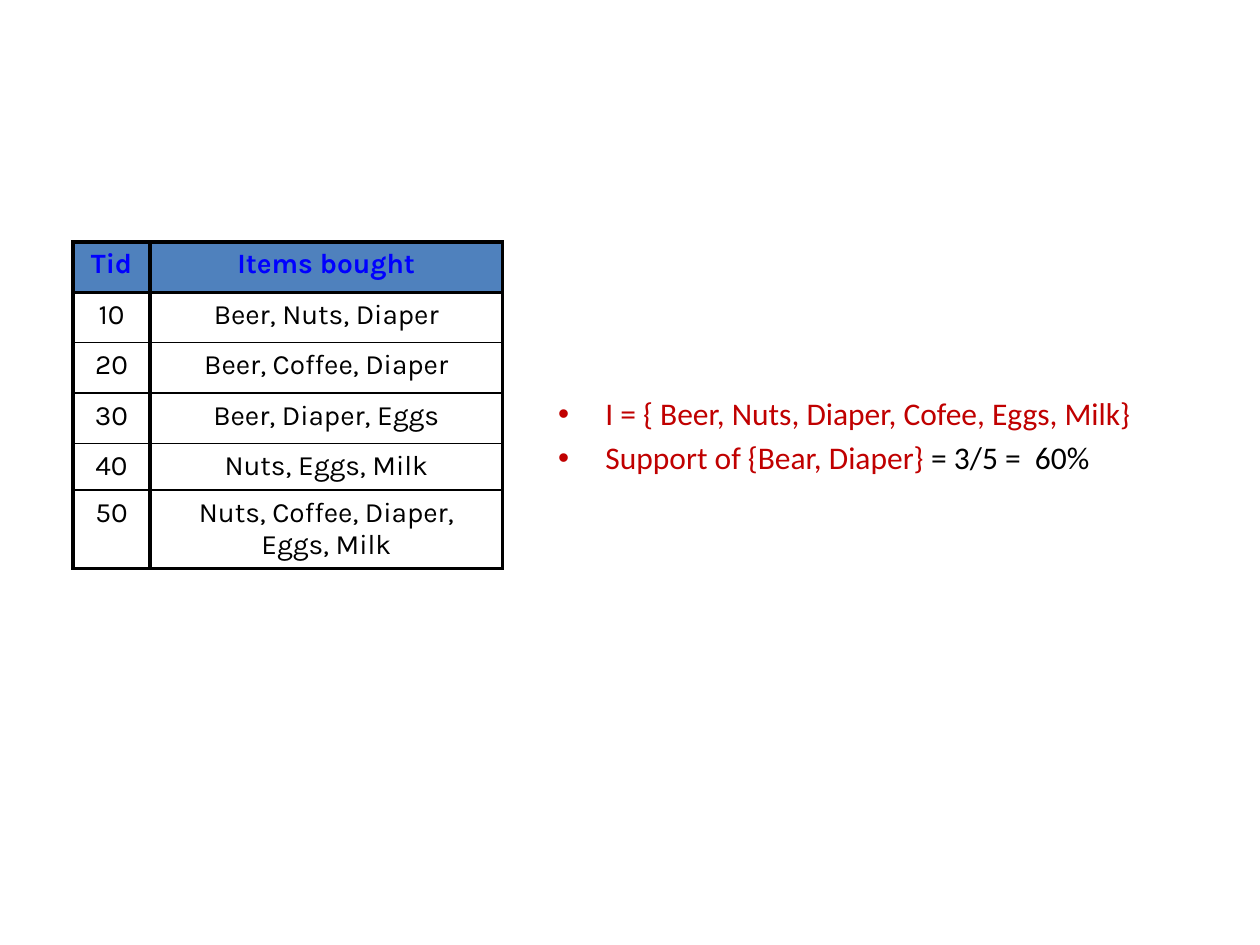
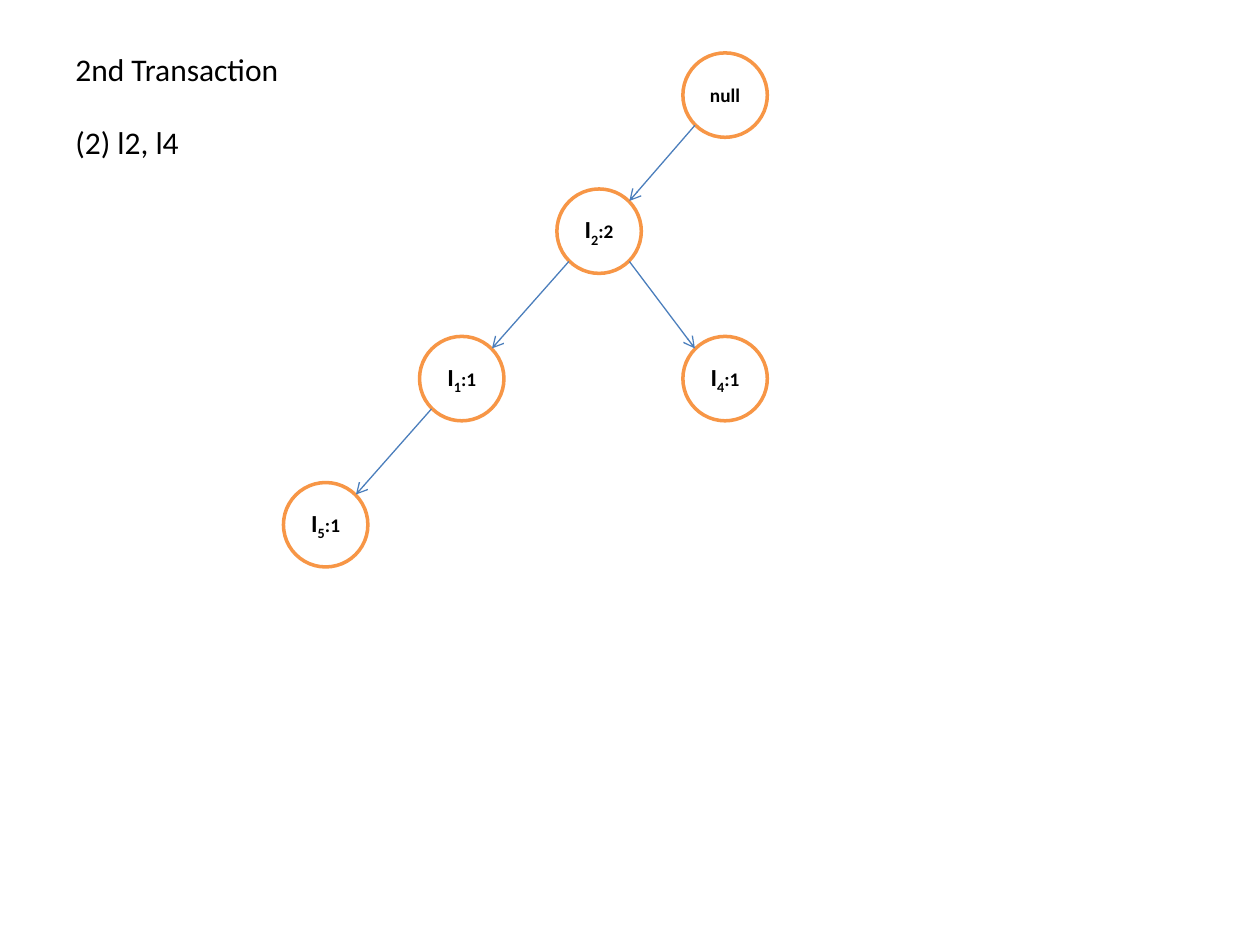
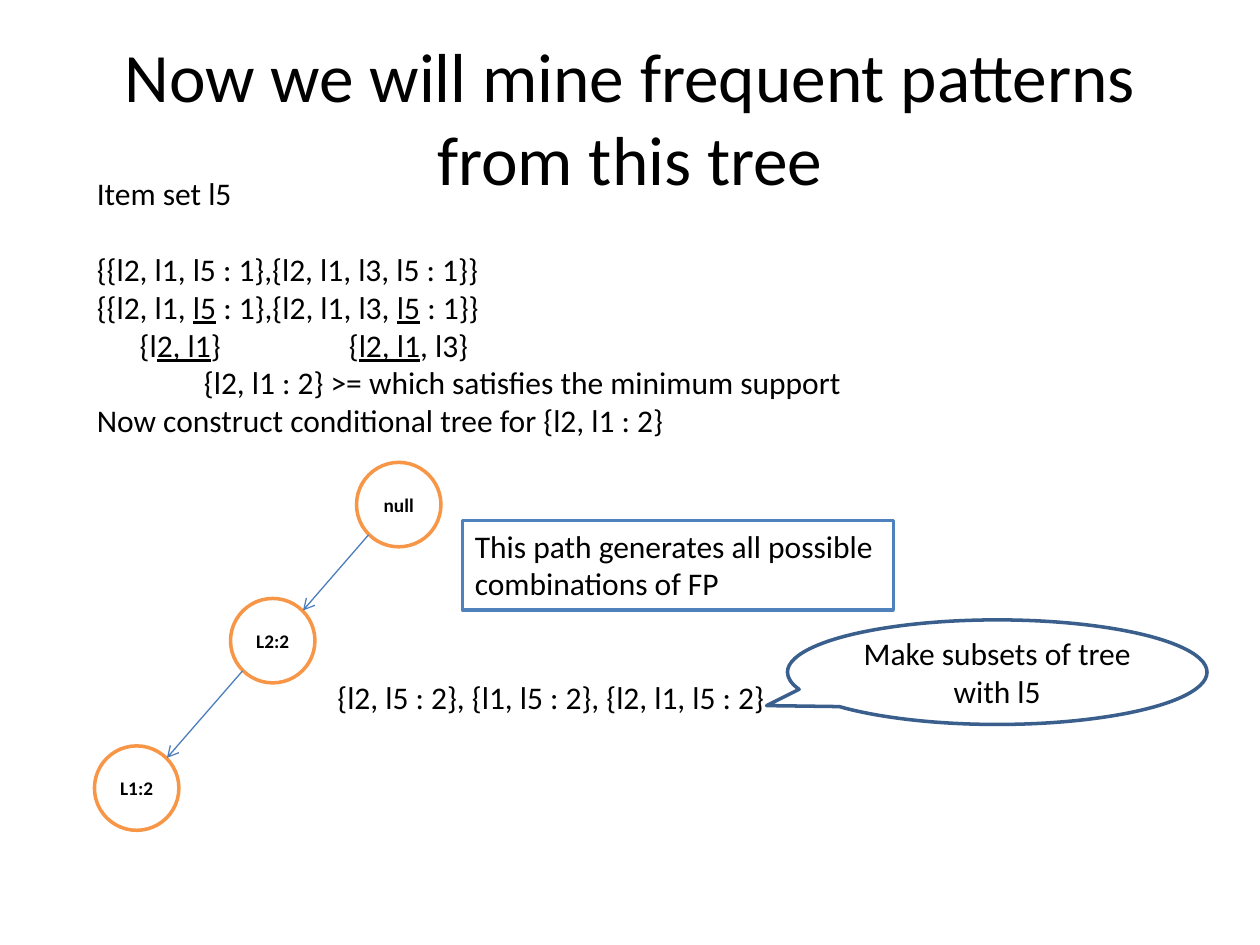
from dataclasses import dataclass
from typing import NamedTuple

from lxml.etree import SubElement as add_sub
from pptx import Presentation
from pptx.dml.color import RGBColor as Rgb
from pptx.enum.shapes import MSO_CONNECTOR as Link, MSO_SHAPE as Form
from pptx.enum.text import MSO_ANCHOR as Anchor, MSO_AUTO_SIZE as Fit, PP_ALIGN as Align
from pptx.oxml.ns import qn
from pptx.shapes.autoshape import Shape
from pptx.slide import Slide
from pptx.table import _Cell as Cell
from pptx.text.text import TextFrame
from pptx.util import Emu, Pt

SCALE = 9144  # EMU in a px, 100 px to the inch
COLORS = {
    "ink": "000000",
    "paper": "FFFFFF",
    "head": "4F81BD",
    "blue": "0000FF",
    "red": "C00000",
    "ring": "F79646",
    "arrow": "4B7EBC",
    "callout": "3A5F8C",
}
PLAIN = {"name": "Calibri", "size": Pt(18), "color": "ink"}
RED = PLAIN | {"color": "red"}
LINED = PLAIN | {"underline": True}
SMALL = PLAIN | {"size": Pt(11), "bold": True}
LARGE = SMALL | {"size": Pt(14)}
SUB = LARGE | {"base": -25000}
TITLE = PLAIN | {"size": Pt(39.6)}
CELL = {"name": "Karla", "size": Pt(16), "color": "ink", "bold": False}
HEAD = CELL | {"color": "blue", "bold": True}

NODE = 67
DIAG = 24  # from a node's centre to its rim at 45 degrees, along each axis
THICK, THIN = Pt(2.25), Pt(1)


class Area(NamedTuple):
    x: int
    y: int
    w: int
    h: int


class Run(NamedTuple):
    text: str
    form: dict = PLAIN


@dataclass
class Para:
    runs: list[Run]
    indent: int = 0
    tab: int = 0
    before: int = 0


@dataclass
class Node:
    x: int
    y: int
    runs: list[Run]

    @property
    def mid(self) -> tuple[float, float]:
        return self.x + NODE / 2, self.y + NODE / 2


def px(size: float) -> Emu:
    return Emu(round(size * SCALE))


def rgb(name: str) -> Rgb:
    return Rgb.from_string(COLORS[name])


def line(text: str, form: dict = PLAIN) -> Para:
    return Para([Run(text, form)])


def write(frame: TextFrame, paras: list[Para], align: Align | None = None) -> None:
    for i, para in enumerate(paras):
        par = frame.add_paragraph() if i else frame.paragraphs[0]
        if align is not None:
            par.alignment = align
        if para.before:
            par.space_before = Pt(para.before)
        props = par._p.get_or_add_pPr()
        if para.indent:
            props.set("marL", str(px(para.indent)))
        if para.tab:
            tabs = add_sub(props, qn("a:tabLst"))
            add_sub(tabs, qn("a:tab"), pos=str(px(para.tab)), algn="l")
        for text, form in para.runs:
            run = par.add_run()
            run.text = text
            for key, value in form.items():
                if key == "color":
                    run.font.color.rgb = rgb(value)
                elif key == "base":
                    run.font._element.set("baseline", str(value))
                else:
                    setattr(run.font, key, value)


def place(shape: Shape, area: Area) -> None:
    for key, size in zip(("left", "top", "width", "height"), area):
        setattr(shape, key, px(size))


def add_text(slide: Slide, area: Area, paras: list[Para], wrap: bool = True) -> None:
    box = slide.shapes.add_textbox(*map(px, area))
    box.text_frame.word_wrap = wrap
    write(box.text_frame, paras)


def add_form(slide: Slide, kind: Form, area: Area, edge: str, paras: list[Para],
             align: Align = Align.CENTER, fill: str | None = "paper") -> Shape:
    shape = slide.shapes.add_shape(kind, *map(px, area))
    shape.shadow.inherit = False
    if fill:
        shape.fill.solid()
        shape.fill.fore_color.rgb = rgb(fill)
    else:
        shape.fill.background()
    shape.line.color.rgb = rgb(edge)
    shape.line.width = Pt(2)
    write(shape.text_frame, paras, align)
    return shape


def add_arrow(slide: Slide, start: Node, end: Node) -> None:
    """Point from the lower rim of one node to the upper rim of the next."""
    (x1, y1), (x2, y2) = start.mid, end.mid
    dx = DIAG if x2 > x1 else -DIAG
    ends = (x1 + dx, y1 + DIAG, x2 - dx, y2 - DIAG)
    link = slide.shapes.add_connector(Link.STRAIGHT, *map(px, ends))
    link.line.color.rgb = rgb("arrow")
    link.line.width = Pt(0.75)
    add_sub(link.line._get_or_add_ln(), qn("a:tailEnd"), type="arrow")
    add_sub(link._element.spPr, qn("a:effectLst"))


def add_tree(slide: Slide, nodes: dict[str, Node], edges: list[tuple[str, str]]) -> None:
    for node in nodes.values():
        area = Area(node.x, node.y, NODE, NODE)
        shape = add_form(slide, Form.OVAL, area, "ring", [Para(node.runs)])
        for side in ("left", "right", "top", "bottom"):
            setattr(shape.text_frame, f"margin_{side}", 0)
    for start, end in edges:
        add_arrow(slide, nodes[start], nodes[end])


def item(x: int, y: int, index: int, count: int) -> Node:
    return Node(x, y, [Run("I", LARGE), Run(str(index), SUB), Run(f":{count}", SMALL)])


def set_edges(cell: Cell, top: Pt, bottom: Pt) -> None:
    props = cell._tc.get_or_add_tcPr()
    for side, width in {"L": THICK, "R": THICK, "T": top, "B": bottom}.items():
        edge = add_sub(props, qn(f"a:ln{side}"), w=str(width))
        fill = add_sub(edge, qn("a:solidFill"))
        add_sub(fill, qn("a:srgbClr"), val=COLORS["ink"])


def add_grid(slide: Slide, area: Area, cols: list[int], tall: list[int],
             rows: list[tuple[str, str]]) -> None:
    grid = slide.shapes.add_table(len(rows), len(cols), *map(px, area)).table
    grid.first_row = grid.horz_banding = False
    for col, width in zip(grid.columns, cols):
        col.width = px(width)
    for r, (texts, height) in enumerate(zip(rows, tall)):
        grid.rows[r].height = px(height)
        for c, text in enumerate(texts):
            cell = grid.cell(r, c)
            set_edges(cell, THICK if r < 2 else THIN,
                      THICK if r in (0, len(rows) - 1) else THIN)
            if r:
                cell.fill.background()
            else:
                cell.fill.solid()
                cell.fill.fore_color.rgb = rgb("head")
            write(cell.text_frame, [line(text, CELL if r else HEAD)], Align.CENTER)


def basket_slide(slide: Slide) -> None:
    title, body = slide.placeholders
    title._element.getparent().remove(title._element)
    place(body, Area(433, 308, 508, 83))
    body.text_frame.auto_size = Fit.NONE
    write(body.text_frame, [
        line("I = { Beer, Nuts, Diaper, Cofee, Eggs, Milk}", RED),
        Para([Run("Support of {Bear, Diaper} ", RED), Run("= 3/5 =  60%")]),
    ])
    add_grid(slide, Area(58, 192, 342, 260), [61, 280], [40] * 4 + [37] * 2, [
        ("Tid", "Items bought"),
        ("10", "Beer, Nuts, Diaper"),
        ("20", "Beer, Coffee, Diaper"),
        ("30", "Beer, Diaper, Eggs"),
        ("40", "Nuts, Eggs, Milk"),
        ("50", "Nuts, Coffee, Diaper, Eggs, Milk"),
    ])


def growth_slide(slide: Slide) -> None:
    nodes = {
        "null": Node(542, 42, [Run("null", SMALL)]),
        "I2": item(442, 150, 2, 2),
        "I1": item(333, 267, 1, 1),
        "I4": item(542, 267, 4, 1),
        "I5": item(225, 383, 5, 1),
    }
    add_tree(slide, nodes, [("null", "I2"), ("I2", "I1"), ("I1", "I5"), ("I2", "I4")])
    add_text(slide, Area(50, 35, 183, 40), [line("2nd Transaction")], wrap=False)
    add_text(slide, Area(50, 93, 103, 40), [line("(2) l2, l4")], wrap=False)


def mining_slide(slide: Slide) -> None:
    title = slide.shapes.title
    place(title, Area(50, 30, 900, 125))
    title.text_frame.auto_size = Fit.NONE
    write(title.text_frame, [line("Now we will mine frequent patterns from this tree", TITLE)])
    add_text(slide, Area(67, 133, 658, 222), [
        line("Item set l5"),
        Para([Run("{{l2, l1, l5 : 1},{l2, l1, l3, l5 : 1}}")], before=22),
        Para([Run("{{l2, l1, "), Run("l5", LINED), Run(" : 1},{l2, l1, l3, "),
              Run("l5", LINED), Run(" : 1}}")]),
        Para([Run("{l"), Run("2, l1", LINED), Run("}\t{"), Run("l2, l1", LINED),
              Run(", l3}")], indent=34, tab=166),
        Para([Run("{l2, l1 : 2} >= which satisfies the minimum support")], indent=85),
        line("Now construct conditional tree for {l2, l1 : 2}"),
    ])
    nodes = {
        "null": Node(283, 367, [Run("null", SMALL)]),
        "L2": Node(183, 475, [Run("L2:2", SMALL)]),
        "L1": Node(75, 592, [Run("L1:2", SMALL)]),
    }
    add_tree(slide, nodes, [("null", "L2"), ("L2", "L1")])
    note = add_form(slide, Form.RECTANGLE, Area(367, 413, 342, 71), "head",
                    [line("This path generates all possible combinations of FP")], Align.LEFT)
    note.text_frame.vertical_anchor = Anchor.TOP
    add_text(slide, Area(258, 533, 367, 40),
             [line("{l2, l5 : 2}, {l1, l5 : 2}, {l2, l1, l5 : 2}")])
    hint = add_form(slide, Form.OVAL_CALLOUT, Area(625, 492, 333, 83), "callout",
                    [line("Make subsets of tree with l5")], fill=None)
    hint.adjustments[0] = -0.55
    hint.adjustments[1] = 0.32


def main() -> None:
    deck = Presentation()
    deck.slide_width, deck.slide_height = px(1000), px(750)
    for layout, build in ((1, basket_slide), (6, growth_slide), (5, mining_slide)):
        build(deck.slides.add_slide(deck.slide_layouts[layout]))
    deck.save("out.pptx")


if __name__ == "__main__":
    main()
